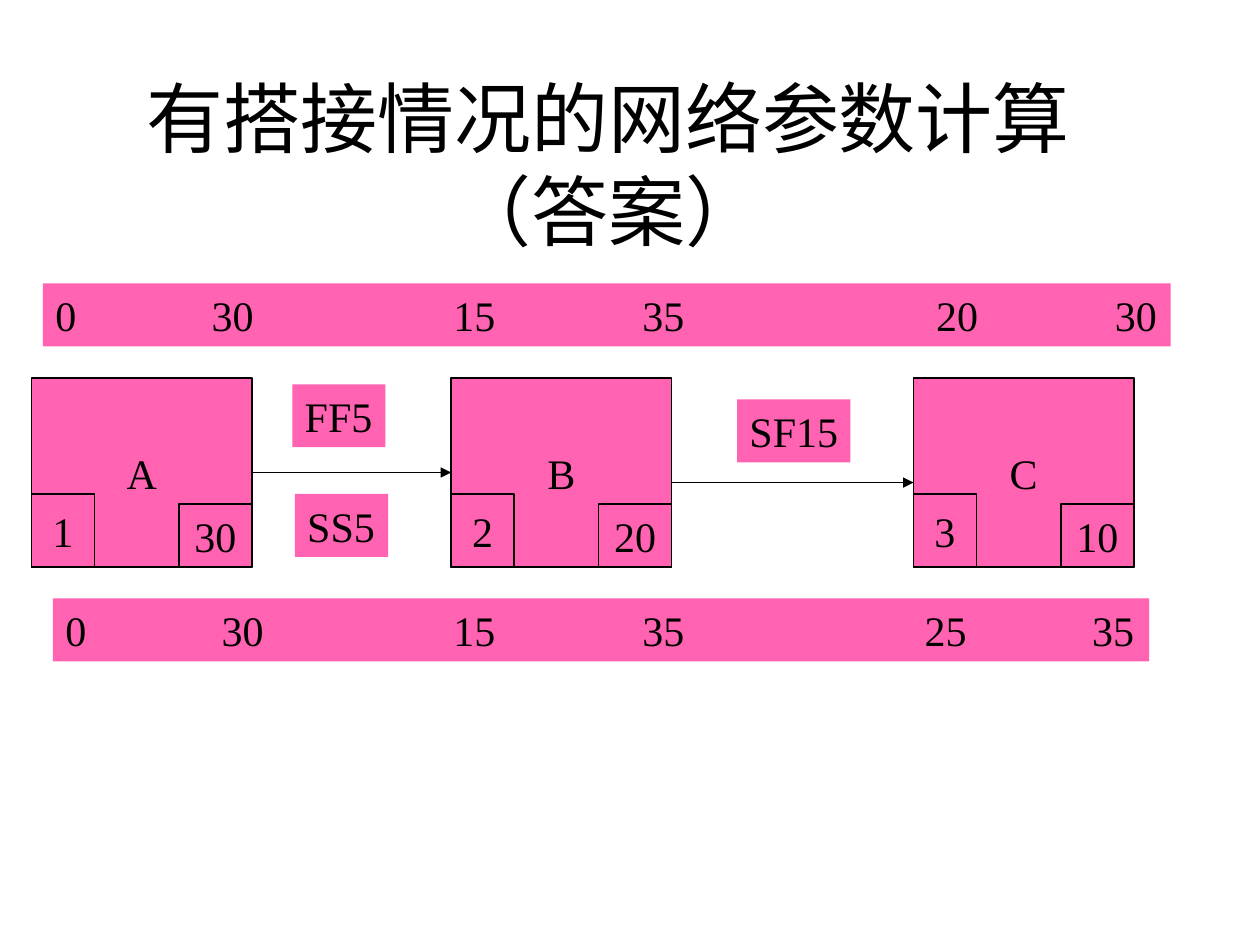
from lxml import etree
from pptx import Presentation
from pptx.dml.color import RGBColor
from pptx.enum.shapes import MSO_CONNECTOR, MSO_SHAPE
from pptx.enum.text import MSO_ANCHOR, PP_ALIGN
from pptx.oxml.ns import qn
from pptx.util import Inches, Pt

RECTANGLE = MSO_SHAPE.RECTANGLE
STRAIGHT = MSO_CONNECTOR.STRAIGHT
LEFT, CENTER = PP_ALIGN.LEFT, PP_ALIGN.CENTER
TOP, MIDDLE = MSO_ANCHOR.TOP, MSO_ANCHOR.MIDDLE
RIGHT_SIDE, LEFT_SIDE = 3, 1

COLORS = {"pink": "FF63B1", "ink": "000000"}
BODY_FONT, TITLE_FONT = "Times New Roman", "Cabin"

TITLE = "有搭接情况的网络参数计算\v（答案）"
ACTIVITIES = [("A", "1", "30", 0.25), ("B", "2", "20", 3.58), ("C", "3", "10", 7.25)]
LAGS = [
    ("FF5", 2.32, 3.05, 0.74),
    ("SF15", 5.85, 3.17, 0.9),
    ("SS5", 2.34, 3.92, 0.74),
]
TIME_BARS = [
    (0.34, 2.25, 8.95, [("0", 0.44), ("30", 1.68), ("15", 3.6), ("35", 5.1), ("20", 7.43), ("30", 8.85)]),
    (0.42, 4.75, 8.7, [("0", 0.52), ("30", 1.76), ("15", 3.6), ("35", 5.1), ("25", 7.34), ("35", 8.67)]),
]
NODE_TOP, NODE_WIDTH, NODE_HEIGHT = 3, 1.75, 1.5
NUMBER_WIDTH, NUMBER_HEIGHT = 0.5, 0.58
DURATION_WIDTH, DURATION_HEIGHT = 0.58, 0.5
ROW_HEIGHT, INSET = 0.5, 0.1
SECOND_ARROW_Y = 3.83


def rgb(name):
    return RGBColor.from_string(COLORS[name])


def write(frame, text, size, font, align, anchor, wrap):
    frame.word_wrap = wrap
    frame.vertical_anchor = anchor
    paragraph = frame.paragraphs[0]
    paragraph.text = text
    paragraph.alignment = align
    for run in paragraph.runs:
        run.font.size = Pt(size)
        run.font.name = font
        run.font.color.rgb = rgb("ink")
    return paragraph


def add_box(slide, text, left, top, width, height, outlined=True):
    box = slide.shapes.add_shape(RECTANGLE, *map(Inches, (left, top, width, height)))
    box.shadow.inherit = False
    box.fill.solid()
    box.fill.fore_color.rgb = rgb("pink")
    if outlined:
        box.line.color.rgb = rgb("ink")
        box.line.width = Pt(1)
        align, anchor = CENTER, MIDDLE
    else:
        box.line.fill.background()
        align, anchor = LEFT, TOP
    write(box.text_frame, text, 24, BODY_FONT, align, anchor, False)
    return box


def add_activity(slide, name, number, duration, left):
    bottom, right = NODE_TOP + NODE_HEIGHT, left + NODE_WIDTH
    node = add_box(slide, name, left, NODE_TOP, NODE_WIDTH, NODE_HEIGHT)
    add_box(slide, number, left, bottom - NUMBER_HEIGHT, NUMBER_WIDTH, NUMBER_HEIGHT)
    add_box(slide, duration, right - DURATION_WIDTH, bottom - DURATION_HEIGHT,
            DURATION_WIDTH, DURATION_HEIGHT)
    return node


def add_arrow(slide, start, end, y):
    arrow = slide.shapes.add_connector(STRAIGHT, start.left + start.width, y, end.left, y)
    arrow.line.color.rgb = rgb("ink")
    arrow.line.width = Pt(1)
    etree.SubElement(arrow.line._get_or_add_ln(), qn("a:tailEnd"), type="triangle")
    etree.SubElement(arrow._element.spPr, qn("a:effectLst"))
    return arrow


def add_time_bar(slide, left, top, width, times):
    text = "\t".join(time for time, _ in times)
    bar = add_box(slide, text, left, top, width, ROW_HEIGHT, outlined=False)
    properties = bar.text_frame.paragraphs[0]._p.get_or_add_pPr()
    tabs = etree.SubElement(properties, qn("a:tabLst"))
    for _, x in times[1:]:
        etree.SubElement(tabs, qn("a:tab"), pos=str(Inches(x - left - INSET)), algn="l")


def main():
    deck = Presentation()
    deck.slide_width, deck.slide_height = Inches(10), Inches(7.5)
    slide = deck.slides.add_slide(deck.slide_layouts[6])

    title = slide.shapes.add_textbox(*map(Inches, (0.58, 0.67, 8.5, 1.25)))
    write(title.text_frame, TITLE, 44, TITLE_FONT, CENTER, MIDDLE, True)

    first, second, third = [add_activity(slide, *activity) for activity in ACTIVITIES]
    joined = add_arrow(slide, first, second, Inches(NODE_TOP + NODE_HEIGHT / 2))
    joined.begin_connect(first, RIGHT_SIDE)
    joined.end_connect(second, LEFT_SIDE)
    add_arrow(slide, second, third, Inches(SECOND_ARROW_Y))

    for text, left, top, width in LAGS:
        add_box(slide, text, left, top, width, ROW_HEIGHT, outlined=False)
    for bar in TIME_BARS:
        add_time_bar(slide, *bar)

    deck.save("out.pptx")


if __name__ == "__main__":
    main()
